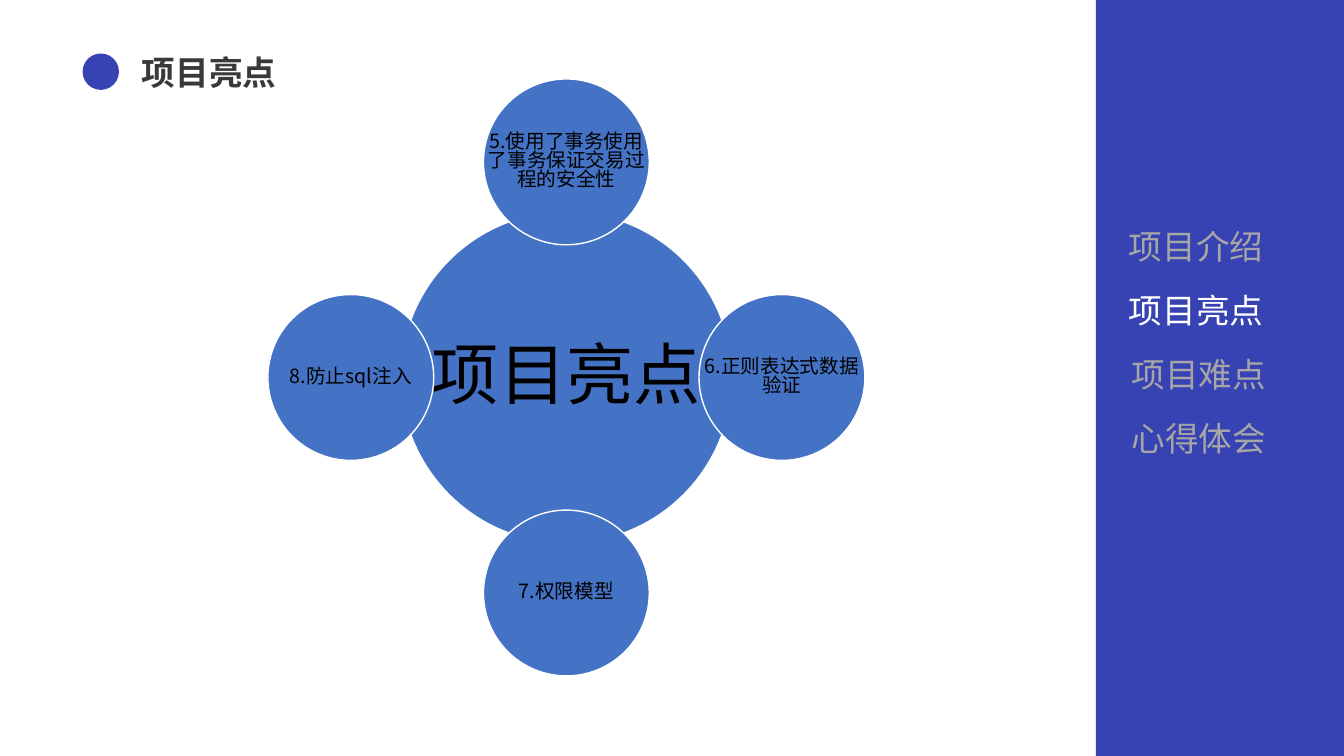
from collections import namedtuple

from lxml import etree
from pptx import Presentation
from pptx.dml.color import RGBColor
from pptx.enum.shapes import MSO_SHAPE as Shape
from pptx.enum.text import MSO_ANCHOR as Anchor, PP_ALIGN as Align
from pptx.oxml.ns import qn
from pptx.util import Pt

Box = namedtuple("Box", "left top width height")

FONT = "Noto Sans CJK SC"
COLORS = {
    "brand": "3843B3",
    "bubble": "4472C4",
    "white": "FFFFFF",
    "title": "3B3838",
    "muted": "A6A6A6",
    "ink": "000000",
}
PAGE = Box(0, 0, 960, 540)
TITLE = Box(59, 33.2, 244.6, 36)
DIAGRAM = Box(191.35, 56.4, 426.4, 426.4)
SIDEBAR = Box(782.8, 0, 177.2, 540)

TOPIC = "项目亮点"
MENU = [("项目介绍", 0), (TOPIC, 0), ("项目难点", 2), ("心得体会", 2)]
HIGHLIGHTS = [
    ("5.使用了事务使用了事务保证交易过程的安全性", 0, -1),
    ("6.正则表达式数据验证", 1, 0),
    ("7.权限模型", 0, 1),
    ("8.防止sql注入", -1, 0),
]


def color(name):
    return RGBColor.from_string(COLORS[name])


def add_text(page, box, text, size, ink, bold=False, inset=None, **para_format):
    frame = page.shapes.add_textbox(*map(Pt, box)).text_frame
    frame.word_wrap = True
    if inset is not None:
        frame.vertical_anchor = Anchor.MIDDLE
        for side in ("left", "top", "right", "bottom"):
            setattr(frame, f"margin_{side}", Pt(inset))
    para = frame.paragraphs[0]
    for name, value in para_format.items():
        setattr(para, name, value)
    span = para.add_run()
    span.text = text
    for name, value in {"name": FONT, "size": Pt(size), "bold": bold}.items():
        setattr(span.font, name, value)
    span.font.color.rgb = color(ink)
    east_asian = etree.SubElement(span.font._element, qn("a:ea"))
    east_asian.set("typeface", FONT)


def add_filled(page, kind, box, fill, outline=None):
    shape = page.shapes.add_shape(kind, *map(Pt, box))
    shape.shadow.inherit = False
    shape.fill.solid()
    shape.fill.fore_color.rgb = color(fill)
    if outline:
        shape.line.color.rgb = color(outline)
        shape.line.width = Pt(1)
    else:
        shape.line.fill.background()


def draw_title(page, box):
    dot = 26
    add_filled(page, Shape.OVAL, Box(box.left, box.top + 5, dot, dot), "brand")
    label = Box(box.left + 35.3, box.top, box.width - 35.3, box.height)
    add_text(page, label, TOPIC, 24, "title", bold=True)


def draw_bubble(page, center_x, center_y, diameter, text, size, inset, spacing):
    box = Box(center_x - diameter / 2, center_y - diameter / 2, diameter, diameter)
    add_filled(page, Shape.OVAL, box, "bubble", "white")
    add_text(page, box, text, size, "ink", inset=inset,
             alignment=Align.CENTER, line_spacing=spacing)


def draw_diagram(page, box):
    center_x = box.left + box.width / 2
    center_y = box.top + box.height / 2
    hub, satellite = 236.9, 118.45
    orbit = (box.width - satellite) / 2
    draw_bubble(page, center_x, center_y, hub, TOPIC, 48, 5, 0.9)
    for text, across, down in HIGHLIGHTS:
        draw_bubble(page, center_x + across * orbit, center_y + down * orbit,
                    satellite, text, 14, 1.5, 0.82)


def draw_sidebar(page, box):
    add_filled(page, Shape.RECTANGLE, box, "brand")
    first, pitch = 157.6, 45.7
    for index, (text, shift) in enumerate(MENU):
        item = Box(box.left + 16.5 + shift, box.top + first + index * pitch, 140.4, 36)
        add_text(page, item, text, 24, "white" if text == TOPIC else "muted")


def main():
    deck = Presentation()
    deck.slide_width, deck.slide_height = Pt(PAGE.width), Pt(PAGE.height)
    page = deck.slides.add_slide(deck.slide_layouts[6])
    draw_sidebar(page, SIDEBAR)
    draw_title(page, TITLE)
    draw_diagram(page, DIAGRAM)
    deck.save("out.pptx")


if __name__ == "__main__":
    main()
